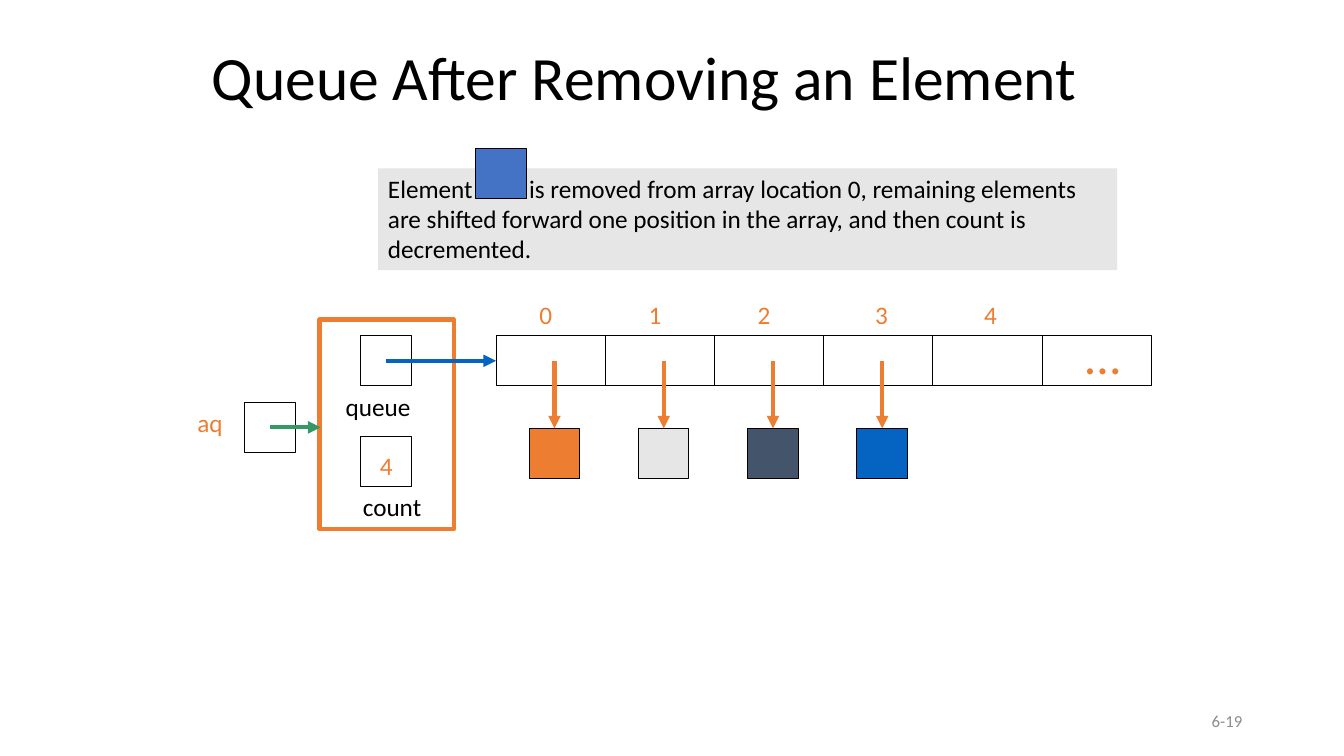
from lxml import etree
from pptx import Presentation
from pptx.dml.color import RGBColor
from pptx.enum.shapes import MSO_CONNECTOR as Connector, MSO_SHAPE as Shape
from pptx.enum.text import MSO_ANCHOR as Anchor, MSO_AUTO_SIZE as AutoSize, PP_ALIGN as Align
from pptx.oxml.ns import qn
from pptx.util import Inches, Pt

FONT = "Calibri"
BLACK, ORANGE, GREY, SLATE = "000000", "ED7D31", "E7E6E6", "44546A"
BLUE, REMOVED_BLUE, GREEN, NUMBER_GREY = "0563C1", "4472C4", "339966", "8C8C8C"
SIDE = 0.5  # side of a reference or element square
ELEMENT_COLORS = [ORANGE, GREY, SLATE, BLUE]


def color(hex_string):
    return RGBColor.from_string(hex_string)


def style(paragraph, size, hex_color, align=Align.LEFT):
    paragraph.alignment = align
    paragraph.font.name = FONT
    paragraph.font.size = Pt(size)
    paragraph.font.color.rgb = color(hex_color)


def add_label(slide, text, left, top, width, height=0.4, size=18, hex_color=ORANGE):
    label = slide.shapes.add_textbox(*map(Inches, (left, top, width, height)))
    label.text_frame.word_wrap = True
    paragraph = label.text_frame.paragraphs[0]
    paragraph.text = text
    style(paragraph, size, hex_color)
    return label


def add_box(slide, left, top, width=SIDE, height=SIDE, fill=None, line=BLACK, weight=0.75):
    box = slide.shapes.add_shape(Shape.RECTANGLE, *map(Inches, (left, top, width, height)))
    box.shadow.inherit = False
    if fill:
        box.fill.solid()
        box.fill.fore_color.rgb = color(fill)
    else:
        box.fill.background()
    if line:
        box.line.color.rgb = color(line)
        box.line.width = Pt(weight)
    else:
        box.line.fill.background()
    return box


def add_arrow(slide, x1, y1, x2, y2, hex_color):
    arrow = slide.shapes.add_connector(Connector.STRAIGHT, *map(Inches, (x1, y1, x2, y2)))
    arrow.line.color.rgb = color(hex_color)
    arrow.line.width = Pt(3)
    etree.SubElement(arrow.line._get_or_add_ln(), qn("a:tailEnd"), type="triangle")
    etree.SubElement(arrow._element.spPr, qn("a:effectLst"))


def add_title(slide, left, top, width, height):
    title = slide.shapes.title
    title.left, title.top, title.width, title.height = map(Inches, (left, top, width, height))
    title.text_frame.text = "Queue After Removing an Element"
    title.text_frame.vertical_anchor = Anchor.MIDDLE
    title.text_frame.auto_size = AutoSize.NONE
    paragraph = title.text_frame.paragraphs[0]
    paragraph.line_spacing = 0.9
    style(paragraph, 44, BLACK)


def add_slide_number(slide, left, top, width, height):
    number = add_label(slide, "6-19", left, top, width, height, 12, NUMBER_GREY)
    number.text_frame.vertical_anchor = Anchor.MIDDLE
    number.text_frame.paragraphs[0].alignment = Align.RIGHT


def add_explanation(slide, left, top, width, height):
    explanation = add_box(slide, left, top, width, height, GREY, None)
    frame = explanation.text_frame
    frame.word_wrap = True
    frame.vertical_anchor = Anchor.TOP
    paragraph = frame.paragraphs[0]
    paragraph.text = ("Element\tis removed from array location 0, remaining elements are shifted "
                      "forward one position in the array, and then count is decremented.")
    style(paragraph, 18, BLACK)
    # The tab stop leaves room for the removed element
    tabs = etree.SubElement(paragraph._p.get_or_add_pPr(), qn("a:tabLst"))
    etree.SubElement(tabs, qn("a:tab"), pos=str(Inches(1.4)), algn="l")
    paragraph._p.pPr.insert(0, tabs)
    add_box(slide, left + 0.97, top - 0.2, fill=REMOVED_BLUE)


def add_queue_object(slide, left, top, width, height):
    add_box(slide, left, top, width, height, line=ORANGE, weight=3)
    field_left = left + 0.41
    # Fields of the queue object
    add_box(slide, field_left, top + 0.16)
    add_label(slide, "queue", left + 0.16, top + 0.66, 1.17, hex_color=BLACK)
    add_box(slide, field_left, top + 1.16)
    add_label(slide, "4", left + 0.5, top + 1.25, 0.39)
    add_label(slide, "count", left + 0.33, top + 1.66, 0.92, hex_color=BLACK)
    # Variable that refers to the object
    add_label(slide, "aq", left - 1.31, top + 0.82, 0.74)
    add_box(slide, left - 0.74, top + 0.82)
    add_arrow(slide, left - 0.49, top + 1.07, left + 0.01, top + 1.07, GREEN)


def add_array(slide, left, top, width, height, cells=6):
    pitch = width / cells
    middle = top + height / 2
    for index in range(cells):
        cell_left = left + index * pitch
        add_box(slide, cell_left, top, pitch, height)
        if index < cells - 1:
            nudge = 0.08 if index > 2 else 0
            add_label(slide, str(index), cell_left + 0.33 + nudge, top - 0.41, 0.39)
        else:
            add_label(slide, "…", cell_left + 0.33, top - 0.16, 0.67, 0.7, 36)
    # Remaining elements, each below its cell
    element_top = top + 0.92
    for index, fill in enumerate(ELEMENT_COLORS):
        element_left = left + index * pitch + 0.33
        element_middle = element_left + SIDE / 2
        add_box(slide, element_left, element_top, fill=fill)
        add_arrow(slide, element_middle, middle, element_middle, element_top, ORANGE)
    # Reference from the queue field to the array
    add_arrow(slide, left - 1.09, middle, left, middle, BLUE)


def main():
    deck = Presentation()
    deck.slide_width, deck.slide_height = Inches(13.33), Inches(7.5)
    slide = deck.slides.add_slide(deck.slide_layouts[5])
    add_title(slide, 2, 0.17, 9.25, 1.25)
    add_queue_object(slide, 3.17, 3.17, 1.33, 2.08)
    add_array(slide, 4.92, 3.33, 6.5, 0.5)
    add_explanation(slide, 3.75, 1.67, 7.33, 1.01)
    add_slide_number(slide, 9.42, 6.95, 3, 0.4)
    deck.save("out.pptx")


if __name__ == "__main__":
    main()
